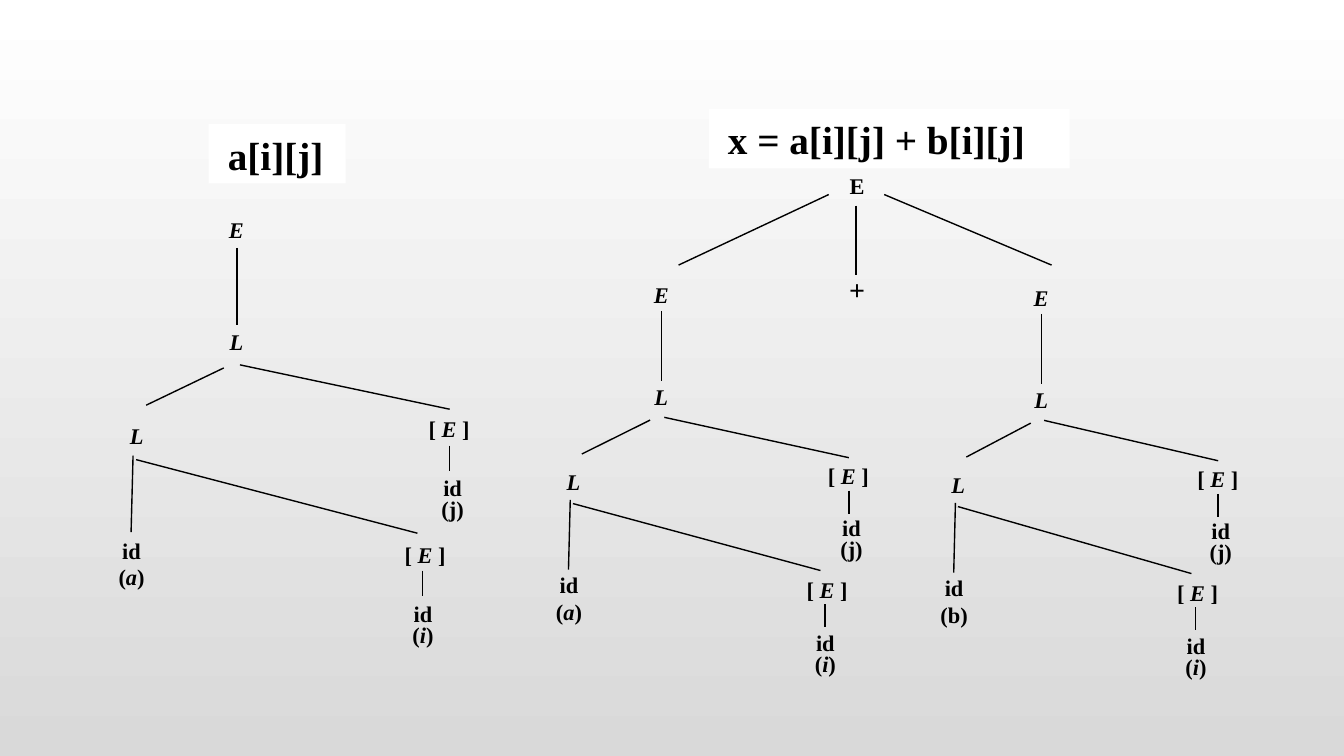
"""Build a slide with the parse trees of two array expressions."""
from typing import NamedTuple

from lxml.etree import SubElement
from pptx import Presentation
from pptx.dml.color import RGBColor as Rgb
from pptx.enum.shapes import MSO_CONNECTOR as Connector, MSO_SHAPE as Preset
from pptx.enum.text import MSO_ANCHOR as Anchor, MSO_AUTO_SIZE as AutoSize, PP_ALIGN as Align
from pptx.oxml.ns import qn
from pptx.util import Inches, Pt

COLORS = {"ink": "000000", "paper": "FFFFFF", "shade": "D9D9D9"}
FONT = "Times New Roman"


class Span(NamedTuple):
    text: str
    italic: bool = False


Lines = tuple[tuple[Span, ...], ...]


class Node(NamedTuple):
    left: float
    top: float
    width: float
    height: float
    lines: Lines
    spacing: float | None = None
    size: float = 16
    min_width: float = 0


class Edge(NamedTuple):
    x1: float
    y1: float
    x2: float
    y2: float


class Tree(NamedTuple):
    left: float
    top: float
    x_scale: float
    y_scale: float
    array: Lines


class Title(NamedTuple):
    left: float
    top: float
    width: float
    text: str


ID = (Span("id"),)
E_ITALIC: Lines = ((Span("E", True),),)
L_ITALIC: Lines = ((Span("L", True),),)
INDEX: Lines = ((Span("["), Span(" E ", True), Span("]")),)
ID_I: Lines = (ID, (Span("("), Span("i", True), Span(")")))
ID_J: Lines = (ID, (Span("(j)"),))
ID_A: Lines = (ID, (Span("("), Span("a", True), Span(")")))
ID_B: Lines = (ID, (Span("(b)"),))

TREES = [
    Tree(1.12, 2.07, 1, 1, ID_A),
    Tree(5.48, 2.73, 0.88, 0.91, ID_A),
    Tree(9.31, 2.76, 0.83, 0.91, ID_B),
]
TREE_NODES = [
    Node(1.04, 0, 0.37, 0.42, E_ITALIC),
    Node(1.04, 1.15, 0.37, 0.34, L_ITALIC),
    Node(0.05, 2.08, 0.37, 0.34, L_ITALIC),
    Node(3.09, 2.58, 0.56, 0.64, ID_J, 15),
    Node(2.67, 3.87, 0.81, 0.56, ID_I, 15),
    Node(2.91, 3.26, 0.37, 0.34, INDEX, min_width=0.45),
    Node(3.15, 2.01, 0.37, 0.34, INDEX, min_width=0.45),
]
TREE_EDGES = [
    Edge(1.23, 0.39, 1.23, 1.15),
    Edge(1.1, 1.58, 0.33, 1.95),
    Edge(1.26, 1.55, 3.34, 1.99),
    Edge(0.2, 2.45, 0.18, 3.21),
    Edge(0.23, 2.49, 3.02, 3.22),
    Edge(3.07, 3.59, 3.07, 3.84),
    Edge(3.34, 2.35, 3.34, 2.6),
]
SUM_NODES = [
    Node(8.22, 1.67, 0.56, 0.4, ((Span("E"),),), 15),
    Node(8.22, 2.73, 0.56, 0.4, ((Span("+"),),), 15, 20),
]
SUM_EDGES = [
    Edge(8.22, 1.93, 6.73, 2.63),
    Edge(8.77, 1.93, 10.43, 2.63),
    Edge(8.49, 2.04, 8.49, 2.73),
]
TITLES = [
    Title(2.07, 1.23, 1.36, "a[i][j]"),
    Title(7.03, 1.08, 3.58, "x = a[i][j] + b[i][j]"),
]


def color(name: str) -> Rgb:
    return Rgb.from_string(COLORS[name])


def add_span(para, span: Span, size: float) -> None:
    run = para.add_run()
    run.text = span.text
    font = run.font
    font.name, font.size, font.bold, font.italic = FONT, Pt(size), True, span.italic
    font.color.rgb = color("ink")


def draw_node(shapes, node: Node) -> None:
    width = max(node.width, node.min_width)
    left = node.left + (node.width - width) / 2
    box = shapes.add_textbox(*map(Inches, (left, node.top, width, node.height)))
    frame = box.text_frame
    frame.word_wrap = False
    frame.vertical_anchor = Anchor.MIDDLE
    frame.margin_left = frame.margin_right = 0
    frame.margin_top = frame.margin_bottom = Inches(0.04)
    for number, line in enumerate(node.lines):
        para = frame.add_paragraph() if number else frame.paragraphs[0]
        para.alignment = Align.CENTER
        if node.spacing:
            para.line_spacing = Pt(node.spacing)
        for span in line:
            add_span(para, span, node.size)


def draw_edge(shapes, edge: Edge) -> None:
    line = shapes.add_connector(Connector.STRAIGHT, *map(Inches, edge))
    line.line.color.rgb = color("ink")
    line.line.width = Pt(1)
    SubElement(line._element.spPr, qn("a:effectLst"))


def draw_tree(page, tree: Tree) -> None:
    shapes = page.shapes.add_group_shape().shapes
    sx, sy = tree.x_scale, tree.y_scale
    for node in [*TREE_NODES, Node(0, 3.11, 0.37, 0.82, tree.array)]:
        draw_node(shapes, node._replace(
            left=tree.left + node.left * sx, top=tree.top + node.top * sy,
            width=node.width * sx, height=node.height * sy))
    for edge in TREE_EDGES:
        draw_edge(shapes, Edge(
            tree.left + edge.x1 * sx, tree.top + edge.y1 * sy,
            tree.left + edge.x2 * sx, tree.top + edge.y2 * sy))


def draw_title(page, title: Title) -> None:
    box = page.shapes.add_shape(
        Preset.RECTANGLE, *map(Inches, (title.left, title.top, title.width, 0.59)))
    box.shadow.inherit = False
    box.fill.solid()
    box.fill.fore_color.rgb = color("paper")
    box.line.fill.background()
    frame = box.text_frame
    frame.word_wrap = True
    frame.auto_size = AutoSize.SHAPE_TO_FIT_TEXT
    frame.vertical_anchor = Anchor.TOP
    frame.margin_left = Inches(0.19)
    frame.margin_right = Inches(0.1)
    para = frame.paragraphs[0]
    para.alignment = Align.LEFT
    para.line_spacing = Pt(35)
    add_span(para, Span(title.text), 28)


def paint_background(page) -> None:
    fill = page.background.fill
    fill.gradient()
    fill.gradient_angle = 270
    for stop, name in zip(fill.gradient_stops, ("paper", "shade")):
        stop.color.rgb = color(name)


def main() -> None:
    deck = Presentation()
    deck.slide_width, deck.slide_height = Inches(13.33), Inches(7.5)
    page = deck.slides.add_slide(deck.slide_layouts[6])
    paint_background(page)
    for tree in TREES:
        draw_tree(page, tree)
    for edge in SUM_EDGES:
        draw_edge(page.shapes, edge)
    for node in SUM_NODES:
        draw_node(page.shapes, node)
    for title in TITLES:
        draw_title(page, title)
    deck.save("out.pptx")


if __name__ == "__main__":
    main()
